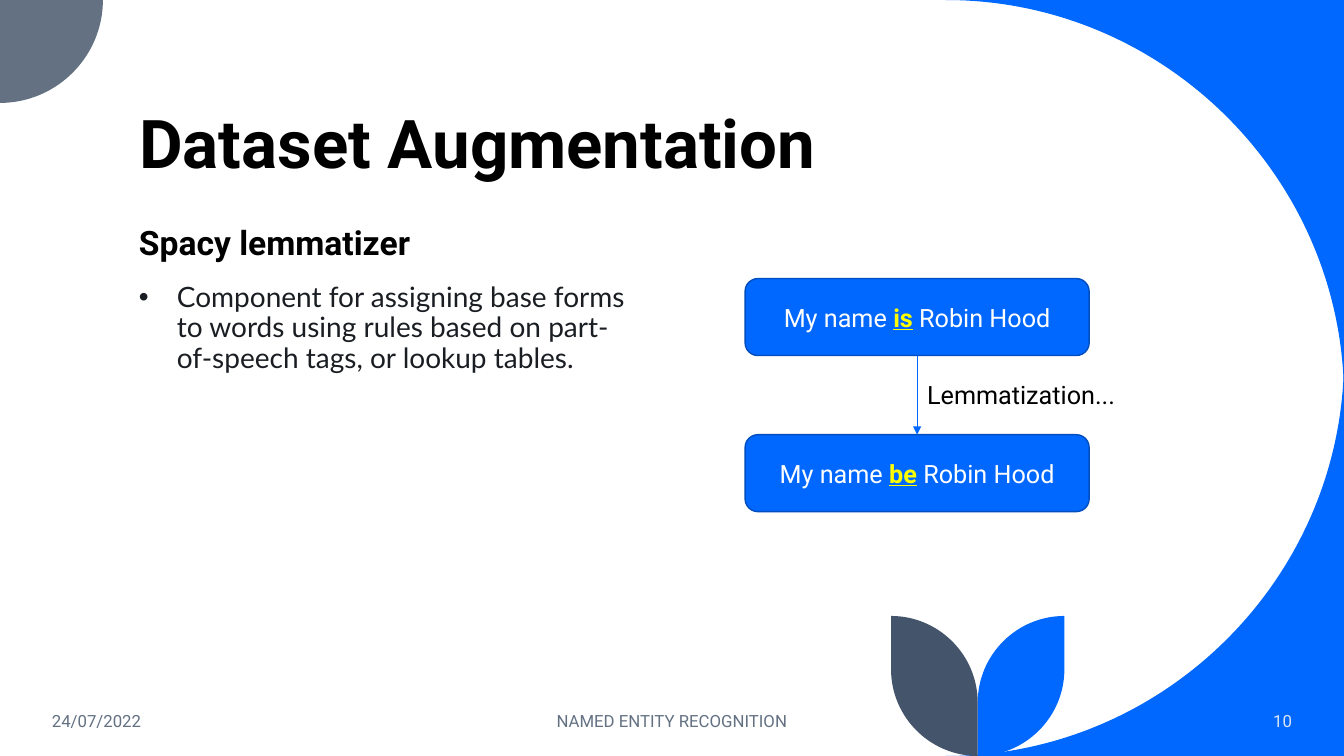
"""Build the Dataset Augmentation slide with its lemmatization diagram."""
from lxml import etree
from pptx import Presentation
from pptx.dml.color import RGBColor
from pptx.enum.shapes import MSO_CONNECTOR, MSO_SHAPE
from pptx.enum.text import MSO_ANCHOR, MSO_AUTO_SIZE, PP_ALIGN
from pptx.oxml.ns import qn
from pptx.util import Pt

LEFT, CENTER, RIGHT = PP_ALIGN.LEFT, PP_ALIGN.CENTER, PP_ALIGN.RIGHT
TOP, MIDDLE, BOTTOM = MSO_ANCHOR.TOP, MSO_ANCHOR.MIDDLE, MSO_ANCHOR.BOTTOM
NO_FIT = MSO_AUTO_SIZE.NONE
ROUNDED, STRAIGHT = MSO_SHAPE.ROUNDED_RECTANGLE, MSO_CONNECTOR.STRAIGHT
QUARTER_ARC = 0.55
COLORS = {
    "blue": "0068FF", "edge": "004DBD", "gray": "637183", "slate": "44546A",
    "black": "000000", "ink": "1A1E23", "pale": "DAE5EF",
    "white": "FFFFFF", "yellow": "FFFF00",
}
RGB = {name: RGBColor.from_string(value) for name, value in COLORS.items()}

prs = Presentation()
prs.slide_width, prs.slide_height = Pt(960), Pt(540)
s = prs.slides.add_slide(prs.slide_layouts[5])


def add_outline(color, start, *steps):
    """Fill an outline; a step is (end,) for a line or (end, corner) for a quarter arc."""
    builder = s.shapes.build_freeform(Pt(start[0]), Pt(start[1]))
    builder.add_line_segments([(Pt(x), Pt(y)) for (x, y), *_ in steps], close=True)
    sp = builder.convert_to_shape()
    sp.fill.solid()
    sp.fill.fore_color.rgb = RGB[color]
    sp.line.fill.background()
    sp.shadow.inherit = False
    begin = start
    for segment, (end, *corner) in zip(list(sp._element.iter(qn("a:lnTo"))), steps):
        if corner:
            segment.tag = qn("a:cubicBezTo")
            for i, anchor in enumerate((begin, end)):
                x, y = (a + QUARTER_ARC * (c - a) for a, c in zip(anchor, corner[0]))
                pt = etree.Element(qn("a:pt"), x=str(Pt(x) - sp.left), y=str(Pt(y) - sp.top))
                segment.insert(i, pt)
        begin = end


def write(text, box=None, sp=None, size=18, color="black", font="Roboto", bold=False,
          align=LEFT, anchor=TOP, spacing=None, before=0, marked=None):
    """Write text into a shape or a new text box, highlighting the marked word."""
    sp = sp or s.shapes.add_textbox(*map(Pt, box))
    tf = sp.text_frame
    tf.word_wrap, tf.auto_size, tf.vertical_anchor = True, NO_FIT, anchor
    p = tf.paragraphs[0]
    p.alignment, p.line_spacing, p.space_before = align, spacing, Pt(before)
    start, word, end = text.partition(marked) if marked else (text, "", "")
    for part in filter(None, (start, word, end)):
        highlighted = part == marked
        r = p.add_run()
        r.text = part
        r.font.name, r.font.size = font, Pt(size)
        r.font.bold, r.font.underline = bold or highlighted, highlighted
        r.font.color.rgb = RGB["yellow" if highlighted else color]
    return p


for edge, inner in ((0, 284.4), (540, 255.6)):
    add_outline("blue", (960, edge), ((675.6, edge),), ((960, inner), (960, edge)))
add_outline("gray", (0, 0), ((73.5, 0),), ((0, 73.5), (73.5, 73.5)))

stem, leaf = 698.4, 61.9
for color, tip in (("blue", stem + leaf), ("slate", stem - leaf)):
    add_outline(color, (tip, 440), ((tip, 540 - leaf),), ((stem, 540), (tip, 540)),
                ((stem, 440 + leaf),), ((tip, 440), (stem, 440)))

title = s.shapes.title
title.left, title.top, title.width, title.height = Pt(92.2), Pt(30.2), Pt(769.7), Pt(104.4)
write("Dataset Augmentation", sp=title, size=48, bold=True, anchor=BOTTOM, spacing=0.9)
write("Spacy lemmatizer", (92.2, 158, 367.2, 41), size=24, bold=True, spacing=0.9, before=10)
p = write("Component for assigning base forms to words using rules based on "
          "part-of-speech tags, or lookup tables.", (92.2, 199, 367.2, 222.5),
          size=20, color="ink", font="Lato", spacing=0.9, before=10)
pPr = p._p.get_or_add_pPr()
pPr.set("marL", str(Pt(27)))
pPr.set("indent", str(-Pt(27)))
etree.SubElement(pPr, qn("a:buFont")).set("typeface", "Arial")
etree.SubElement(pPr, qn("a:buChar")).set("char", "•")

for text, left, width, color, align in (
    ("24/07/2022", 30, 216, "gray", LEFT),
    ("NAMED ENTITY RECOGNITION", 318, 324, "gray", CENTER),
    ("10", 799.5, 130.5, "pale", RIGHT),
):
    write(text, (left, 500.5, width, 28.75), size=12, color=color, align=align, anchor=MIDDLE)

boxes = []
for i, verb in enumerate(("is", "be")):
    sp = s.shapes.add_shape(ROUNDED, Pt(532.2), Pt(199 + 111.5 * i), Pt(245.8), Pt(55))
    sp.shadow.inherit = False
    sp.fill.solid()
    sp.fill.fore_color.rgb = RGB["blue"]
    sp.line.color.rgb, sp.line.width = RGB["edge"], Pt(1)
    write(f"My name {verb} Robin Hood", sp=sp, color="white", align=CENTER,
          anchor=MIDDLE, marked=verb)
    boxes.append(sp)

arrow = s.shapes.add_connector(STRAIGHT, Pt(655.1), Pt(254), Pt(655.1), Pt(310.5))
arrow.begin_connect(boxes[0], 2)
arrow.end_connect(boxes[1], 0)
arrow.line.color.rgb, arrow.line.width = RGB["blue"], Pt(0.5)
etree.SubElement(arrow.line._get_or_add_ln(), qn("a:tailEnd")).set("type", "triangle")
etree.SubElement(arrow._element.spPr, qn("a:effectLst"))
write("Lemmatization...", (655.2, 267.5, 172, 29))

prs.save("out.pptx")
